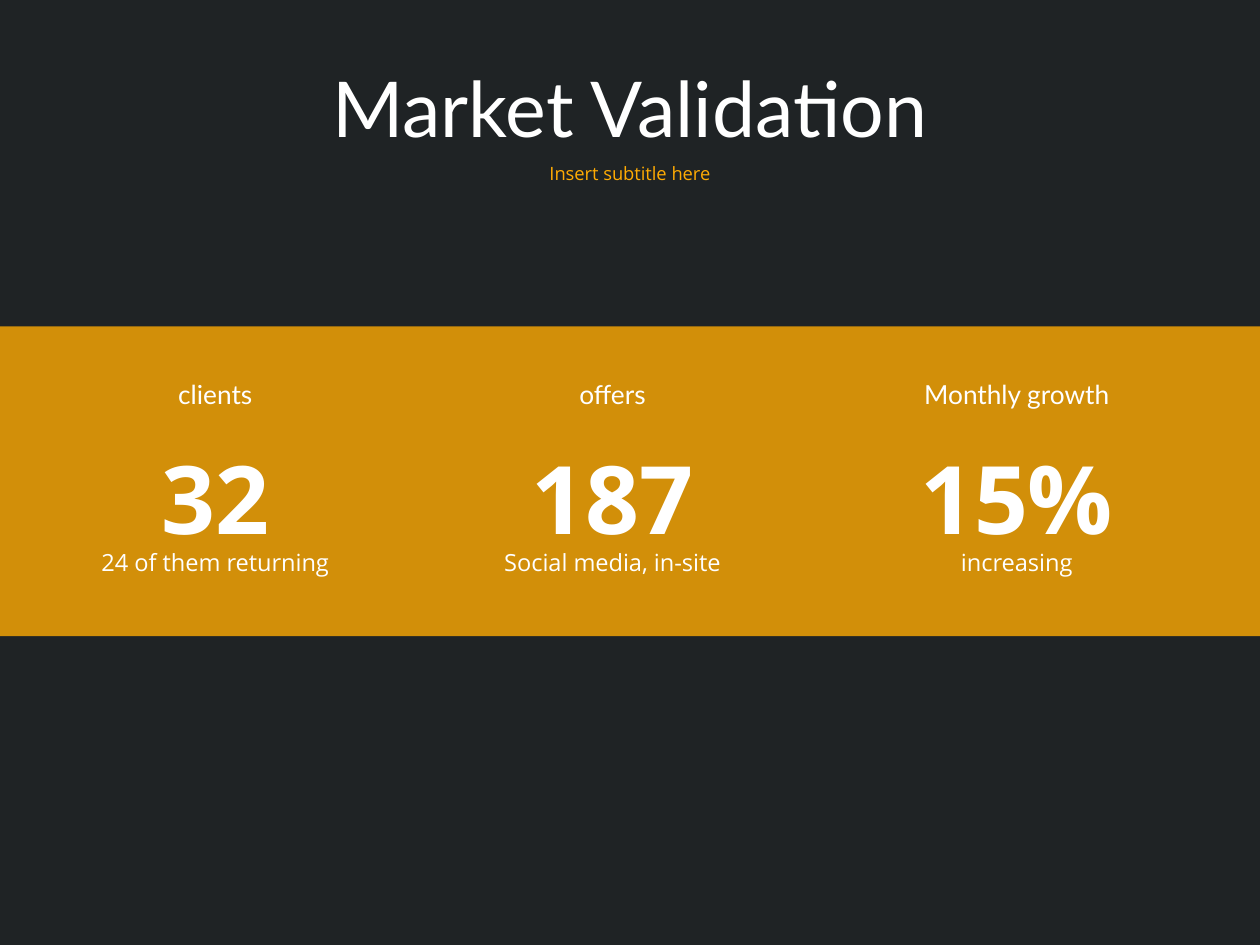
import pptx
import pptx.util
import pptx.dml.color
import pptx.enum.shapes
import pptx.enum.text
import pptx.oxml.ns
import lxml.etree

Pt = pptx.util.Pt
RGB = pptx.dml.color.RGBColor.from_string
ANCHOR = pptx.enum.text.MSO_ANCHOR
COLORS = {"back": "3F3F3F", "shade": "181E20", "accent": "FFAB03", "text": "FFFFFF"}

prs = pptx.Presentation()
prs.slide_width, prs.slide_height = Pt(720), Pt(540)
s = prs.slides.add_slide(prs.slide_layouts[6])
s.background.fill.solid()
s.background.fill.fore_color.rgb = RGB(COLORS["back"])


def add_band(top, height, color, opacity):
    sp = s.shapes.add_shape(pptx.enum.shapes.MSO_SHAPE.RECTANGLE, 0, Pt(top), Pt(720), Pt(height))
    sp.shadow.inherit = False
    sp.line.fill.background()
    sp.fill.solid()
    sp.fill.fore_color.rgb = RGB(COLORS[color])
    clr = sp.fill._xPr.find(".//" + pptx.oxml.ns.qn("a:srgbClr"))
    lxml.etree.SubElement(clr, pptx.oxml.ns.qn("a:alpha"), val=str(opacity * 1000))


def add_text(text, center, top, width, height, size, font, color="text",
             bold=False, spacing=1.0, before=0, anchor=ANCHOR.TOP):
    sp = s.shapes.add_textbox(Pt(center - width / 2), Pt(top), Pt(width), Pt(height))
    tf = sp.text_frame
    tf.word_wrap = True
    tf.vertical_anchor = anchor
    p = tf.paragraphs[0]
    p.alignment = pptx.enum.text.PP_ALIGN.CENTER
    p.line_spacing = spacing
    p.space_before = Pt(before)
    r = p.add_run()
    r.text = text
    r.font.size = Pt(size)
    r.font.name = font
    r.font.bold = bold
    r.font.color.rgb = RGB(COLORS[color])


add_band(0, 540, "shade", 82)
add_text("Market Validation", 360, 28.8, 620, 70.5, 44, "Lato", spacing=0.9, anchor=ANCHOR.MIDDLE)
add_text("Insert subtitle here", 360, 90.7, 620, 28.8, 10.5, "Open Sans", "accent",
         spacing=0.9, before=10)

add_band(186.5, 177.1, "accent", 80)
metrics = [
    (123, "clients", "32", "24 of them returning"),
    (350, "offers", "187", "Social media, in-site"),
    (581, "Monthly growth", "15%", "increasing"),
]
for center, label, value, detail in metrics:
    add_text(detail, center, 301.7, 158.4, 31.7, 13.5, "Open Sans", spacing=1.5)
    add_text(label, center, 211.7, 212, 27.4, 15, "Lato", anchor=ANCHOR.MIDDLE)
    add_text(value, center, 215.3, 158.4, 105.1, 54, "Open Sans", bold=True, spacing=1.5)

prs.save("out.pptx")
